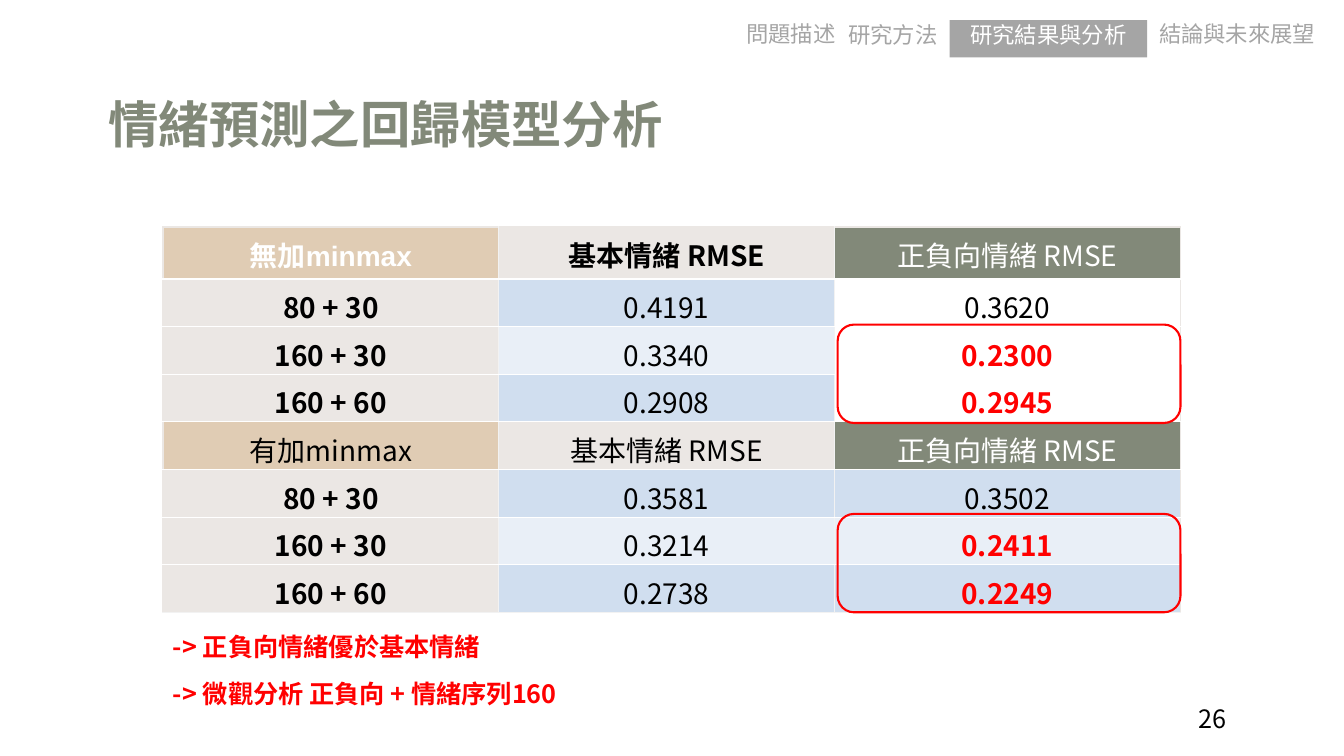
from lxml import etree
from pptx import Presentation
from pptx.dml.color import RGBColor
from pptx.enum.shapes import MSO_SHAPE
from pptx.enum.text import MSO_ANCHOR, PP_ALIGN
from pptx.oxml.ns import qn
from pptx.util import Cm, Pt

RECT, ROUNDED = MSO_SHAPE.RECTANGLE, MSO_SHAPE.ROUNDED_RECTANGLE
LEFT, CENTER = PP_ALIGN.LEFT, PP_ALIGN.CENTER
TOP = MSO_ANCHOR.TOP

SC, TC = "Noto Sans CJK SC", "Noto Sans CJK TC"
COLORS = {
    "olive": "828979", "gray": "A5A5A5", "sand": "E0CCB4", "stone": "EBE7E4",
    "blue": "D0DEEF", "pale": "E9EFF7", "line": "F2F2F2",
    "white": "FFFFFF", "black": "000000", "red": "FF0000",
}

# text, left, width, top of each section in the navigation bar
SECTIONS = [
    ("問題描述", 18.29, 3.28, 0.48),
    ("研究方法", 21.11, 2.79, 0.51),
    ("研究結果與分析", 23.93, 4.98, 0.51),
    ("結論與未來展望", 28.32, 5.72, 0.48),
]
ACTIVE_SECTION = "研究結果與分析"

BASIC, POLAR = "基本情緒 RMSE", "正負向情緒 RMSE"
RESULTS = [
    ("無加minmax", BASIC, POLAR),
    ("80 + 30", "0.4191", "0.3620"),
    ("160 + 30", "0.3340", "0.2300"),
    ("160 + 60", "0.2908", "0.2945"),
    ("有加minmax", BASIC, POLAR),
    ("80 + 30", "0.3581", "0.3502"),
    ("160 + 30", "0.3214", "0.2411"),
    ("160 + 60", "0.2738", "0.2249"),
]
GROUP = 4  # one heading row and three result rows


def color(name):
    return RGBColor.from_string(COLORS[name])


def put_text(tf, text, size=18, font=SC, latin=None, ink="black", bold=False,
             align=LEFT, spacing=0.87):
    p = tf.paragraphs[0]
    p.alignment, p.line_spacing = align, spacing
    r = p.add_run()
    r.text = text
    r.font.size, r.font.bold = Pt(size), bold
    r.font.name = latin or font
    r.font.color.rgb = color(ink)
    ea = etree.SubElement(r.font._element, qn("a:ea"))
    ea.set("typeface", font)


def cell_style(row, col):
    """Return the fill and the text format of a table cell."""
    step = row % GROUP
    if step == 0:
        fill = ("sand", "stone", "olive")[col]
        if col == 2:
            return fill, dict(font=TC, ink="white")
        if row == 0 and col == 0:
            return fill, dict(font=TC, latin="Arial", ink="white", bold=True)
        return fill, dict(bold=row == 0)
    if col == 0:
        return "stone", dict(font=TC, bold=True)
    fill = "pale" if step == 2 else "blue"
    if col == 2 and row < GROUP:
        fill = "white"
    best = col == 2 and step > 1
    return fill, dict(bold=best, ink="red" if best else "black")


def set_borders(cell, **sides):
    """Give sides (L, R, T, B) a 1 pt line in the named colour."""
    tcPr = cell._tc.get_or_add_tcPr()
    for i, (side, name) in enumerate(sides.items()):
        ln = etree.Element(qn(f"a:ln{side}"), w=str(Pt(1)))
        fill = etree.SubElement(ln, qn("a:solidFill"))
        etree.SubElement(fill, qn("a:srgbClr"), val=COLORS[name])
        tcPr.insert(i, ln)


class SlideBuilder:
    def __init__(self, prs):
        self.s = prs.slides.add_slide(prs.slide_layouts[6])

    def label(self, text, x, y, w, h, wrap=True, **fmt):
        sp = self.s.shapes.add_textbox(Cm(x), Cm(y), Cm(w), Cm(h))
        sp.text_frame.word_wrap = wrap
        put_text(sp.text_frame, text, **fmt)

    def box(self, kind, x, y, w, h, fill=None, line=None):
        sp = self.s.shapes.add_shape(kind, Cm(x), Cm(y), Cm(w), Cm(h))
        sp.shadow.inherit = False
        if fill:
            sp.fill.solid()
            sp.fill.fore_color.rgb = color(fill)
        else:
            sp.fill.background()
        if line:
            sp.line.color.rgb = color(line)
            sp.line.width = Pt(1.5)
        else:
            sp.line.fill.background()
        return sp

    def table(self, rows, x, y, widths, heights):
        frame = self.s.shapes.add_table(len(rows), len(widths), Cm(x), Cm(y),
                                        Cm(sum(widths)), Cm(sum(heights)))
        tbl = frame.table
        for column, w in zip(tbl.columns, widths):
            column.width = Cm(w)
        for i, (values, h) in enumerate(zip(rows, heights)):
            tbl.rows[i].height = Cm(h)
            for j, value in enumerate(values):
                self.cell(tbl.cell(i, j), value, i, j)

    def cell(self, cell, value, row, col):
        fill, fmt = cell_style(row, col)
        cell.fill.solid()
        cell.fill.fore_color.rgb = color(fill)
        cell.vertical_anchor = TOP
        cell.margin_left = cell.margin_right = cell.margin_top = Cm(0.18)
        cell.margin_bottom = 0
        put_text(cell.text_frame, value, size=20, align=CENTER, spacing=1.0, **fmt)
        sides = dict(L="line" if col else "stone",
                     R="stone" if col == 2 else "line")
        if row == 0:
            sides["T"] = "stone"
        if row == len(RESULTS) - 1:
            sides["B"] = "line"
        set_borders(cell, **sides)


def main():
    prs = Presentation()
    prs.slide_width, prs.slide_height = Cm(33.87), Cm(19.05)
    slide = SlideBuilder(prs)

    slide.label("情緒預測之回歸模型分析", 2.26, 2.44, 14.91, 1.8, wrap=False,
                size=36, ink="olive", bold=True, align=CENTER)
    for text, x, w, y in SECTIONS:
        active = text == ACTIVE_SECTION
        fmt = dict(size=16, font=TC, align=CENTER, ink="white" if active else "gray")
        if active:
            sp = slide.box(RECT, x, y, w, 0.94, fill="gray")
            sp.text_frame.vertical_anchor = TOP
            put_text(sp.text_frame, text, **fmt)
        else:
            slide.label(text, x, y, w, 0.94, wrap=False, **fmt)

    slide.table(RESULTS, 4.11, 5.72, [8.46, 8.46, 8.71], [1.31] + [1.2] * 7)
    for y in (8.18, 12.95):
        slide.box(ROUNDED, 21.11, y, 8.64, 2.48, line="red")

    notes = [("-> 正負向情緒優於基本情緒", 15.9, 8.53),
             ("-> 微觀分析 正負向 + 情緒序列160", 17.07, 10.77)]
    for text, y, w in notes:
        slide.label(text, 4.11, y, w, 1.02, ink="red", bold=True)
    slide.label("26", 29.95, 17.7, 2, 1.02)

    prs.save("out.pptx")


if __name__ == "__main__":
    main()
